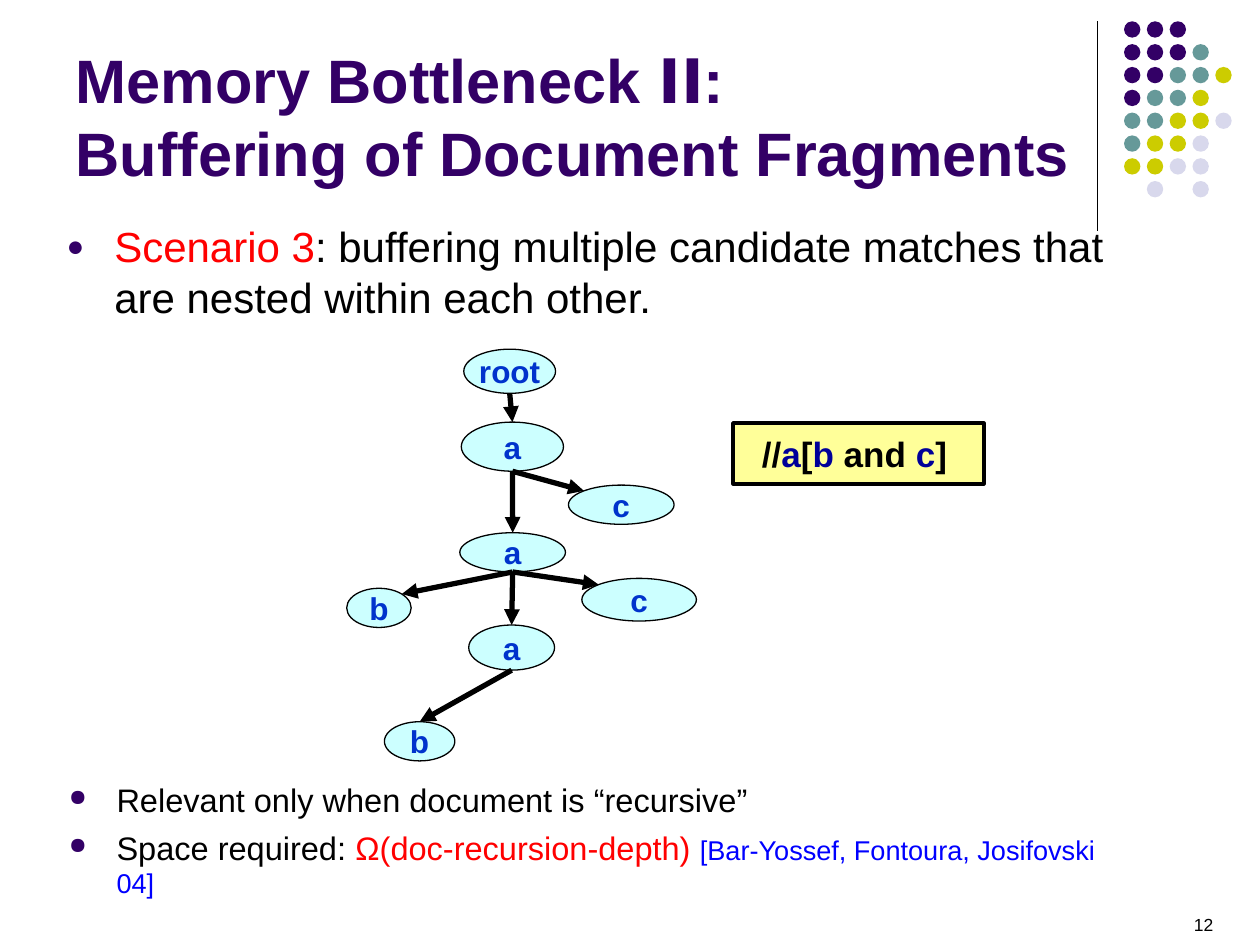
from math import sqrt

from lxml.etree import SubElement
from pptx import Presentation
from pptx.dml.color import RGBColor
from pptx.enum.shapes import MSO_CONNECTOR, MSO_SHAPE
from pptx.enum.text import MSO_ANCHOR, MSO_AUTO_SIZE, PP_ALIGN
from pptx.oxml.ns import qn
from pptx.util import Cm, Pt

BLACK = RGBColor(0x00, 0x00, 0x00)
RED = RGBColor(0xFF, 0x00, 0x00)
LINK_BLUE = RGBColor(0x00, 0x00, 0xFF)
NODE_BLUE = RGBColor(0x00, 0x33, 0xCC)
NAVY = RGBColor(0x00, 0x00, 0x99)
PURPLE = RGBColor(0x33, 0x00, 0x66)
TEAL = RGBColor(0x66, 0x99, 0x99)
OLIVE = RGBColor(0xCC, 0xCC, 0x00)
LAVENDER = RGBColor(0xD8, 0xD8, 0xEC)
PALE_CYAN = RGBColor(0xCC, 0xFF, 0xFF)
PALE_YELLOW = RGBColor(0xFF, 0xFF, 0x99)


def add_runs(p, runs, **base):
    """Add (text, colour, overrides) runs to p, each with the base font values."""
    for text, color, extra in runs:
        r = p.add_run()
        r.text = text
        r.font.color.rgb = color
        for name, value in {"name": "Arial", **base, **extra}.items():
            setattr(r.font, name, value)


def add_line(x1, y1, x2, y2, width, arrow=False):
    line = s.shapes.add_connector(MSO_CONNECTOR.STRAIGHT, x1, y1, x2, y2)
    line.line.color.rgb = BLACK
    line.line.width = Pt(width)
    if arrow:
        SubElement(line.line._get_or_add_ln(), qn("a:tailEnd"), type="triangle")
    SubElement(line._element.spPr, qn("a:effectLst"))


prs = Presentation()
prs.slide_width, prs.slide_height = Cm(25.4), Cm(19.05)
s = prs.slides.add_slide(prs.slide_layouts[1])

# Corner decoration
add_line(Cm(22.12), Cm(0.43), Cm(22.12), Cm(4.65), 0.75)
dot_colors = {"P": PURPLE, "T": TEAL, "O": OLIVE, "L": LAVENDER}
dot_rows = ["PPP", "PPPT", "PPTTO", "PTTO", "TTOOL", "TOOL", "OOLL", "-L-L"]
for row, codes in enumerate(dot_rows):
    for col, code in enumerate(codes):
        if code in dot_colors:
            sp = s.shapes.add_shape(
                MSO_SHAPE.OVAL, Cm(22.66 + 0.46 * col), Cm(0.43 + 0.46 * row), Cm(0.33), Cm(0.33))
            sp.shadow.inherit = False
            sp.fill.solid()
            sp.fill.fore_color.rgb = dot_colors[code]
            sp.line.fill.background()

# Title
title = s.shapes.title
title.left, title.top, title.width, title.height = Cm(1.27), Cm(0.33), Cm(20.96), Cm(3.61)
tf = title.text_frame
tf.auto_size = MSO_AUTO_SIZE.NONE
tf.vertical_anchor = MSO_ANCHOR.BOTTOM
p = tf.paragraphs[0]
p.alignment = PP_ALIGN.LEFT
title_font = {"size": Pt(35), "bold": True}
add_runs(p, [("Memory Bottleneck ", PURPLE, {}),
             ("II", PURPLE, {"name": "DejaVu Sans"}),
             (":", PURPLE, {})], **title_font)
p.add_line_break()
add_runs(p, [("Buffering of Document Fragments", PURPLE, {})], **title_font)

# Bulleted lists
body = s.placeholders[1]
body.left, body.top, body.width, body.height = Cm(1.09), Cm(4.32), Cm(21.69), Cm(2.69)
notes = s.shapes.add_textbox(Cm(1.14), Cm(15.6), Cm(21.69), Cm(2.69))
lists = [
    (body, 24, [
        (6, [("Scenario 3", RED, {}),
             (": buffering multiple candidate matches that are nested within each other.", BLACK, {})]),
    ]),
    (notes, 18.6, [
        (6, [("Relevant only when document is “recursive”", BLACK, {})]),
        (5, [("Space required: ", BLACK, {}),
             ("Ω(doc-recursion-depth) ", RED, {}),
             ("[Bar-Yossef, Fontoura, Josifovski 04]", LINK_BLUE, {"size": Pt(15.5)})]),
    ]),
]
for box, size, items in lists:
    tf = box.text_frame
    tf.word_wrap = True
    tf.auto_size = MSO_AUTO_SIZE.NONE
    for i, (space, runs) in enumerate(items):
        p = tf.add_paragraph() if i else tf.paragraphs[0]
        p.space_before = Pt(space)
        pPr = p._p.get_or_add_pPr()
        pPr.set("marL", str(Cm(0.96)))
        pPr.set("indent", str(-Cm(0.96)))
        SubElement(SubElement(pPr, qn("a:buClr")), qn("a:srgbClr"), val=str(PURPLE))
        SubElement(pPr, qn("a:buSzPct"), val="70000")
        SubElement(pPr, qn("a:buChar"), char="●")
        add_runs(p, runs, size=Pt(size))

# Document tree: label, left, top, width, height in cm
nodes = {
    "root": ("root", 9.35, 7.04, 1.85, 0.89),
    "a1": ("a", 9.3, 8.51, 2.06, 0.99),
    "c1": ("c", 11.46, 9.78, 2.13, 0.79),
    "a2": ("a", 9.27, 10.74, 2.13, 0.79),
    "b1": ("b", 6.99, 11.86, 1.3, 0.79),
    "a3": ("a", 9.45, 12.6, 1.73, 0.91),
    "c2": ("c", 11.73, 11.66, 2.31, 0.86),
    "b2": ("b", 7.75, 14.55, 1.42, 0.79),
}
ovals = {}
for key, (label, *place) in nodes.items():
    sp = ovals[key] = s.shapes.add_shape(MSO_SHAPE.OVAL, *map(Cm, place))
    sp.shadow.inherit = False
    sp.fill.solid()
    sp.fill.fore_color.rgb = PALE_CYAN
    sp.line.color.rgb = BLACK
    sp.line.width = Pt(0.75)
    tf = sp.text_frame
    tf.word_wrap = False
    tf.vertical_anchor = MSO_ANCHOR.MIDDLE
    p = tf.paragraphs[0]
    p.alignment = PP_ALIGN.CENTER
    add_runs(p, [(label, NODE_BLUE, {})], size=Pt(18), bold=True)

# Arrows go from the parent's bottom to the child's top (0), top left (-1) or top right (1)
edges = [("root", "a1", 0), ("a1", "c1", -1), ("a1", "a2", 0), ("a2", "b1", 1),
         ("a2", "a3", 0), ("a2", "c2", -1), ("a3", "b2", 0)]
for parent, child, side in edges:
    start, end = ovals[parent], ovals[child]
    rise = 1 / sqrt(2) if side else 1
    add_line(start.left + start.width // 2, start.top + start.height,
             int(end.left + end.width / 2 * (1 + side / sqrt(2))),
             int(end.top + end.height / 2 * (1 - rise)), 3, arrow=True)

# Query
sp = s.shapes.add_shape(MSO_SHAPE.RECTANGLE, Cm(14.78), Cm(8.53), Cm(5.05), Cm(1.22))
sp.shadow.inherit = False
sp.fill.solid()
sp.fill.fore_color.rgb = PALE_YELLOW
sp.line.color.rgb = BLACK
sp.line.width = Pt(2.25)
tf = s.shapes.add_textbox(Cm(15.11), Cm(8.59), Cm(7.57), Cm(1.12)).text_frame
tf.word_wrap = True
p = tf.paragraphs[0]
p.space_before = Pt(5)
query = [("//", BLACK), ("a", NAVY), ("[", BLACK), ("b", NAVY), (" and ", BLACK), ("c", NAVY), ("]", BLACK)]
add_runs(p, [(text, color, {}) for text, color in query], size=Pt(20), bold=True)

# Slide number
tf = s.shapes.add_textbox(Cm(23.82), Cm(18.31), Cm(1.5), Cm(0.69)).text_frame
tf.word_wrap = True
p = tf.paragraphs[0]
p.space_before = Pt(6.2)
add_runs(p, [("12", BLACK, {})], size=Pt(10))

prs.save("out.pptx")
